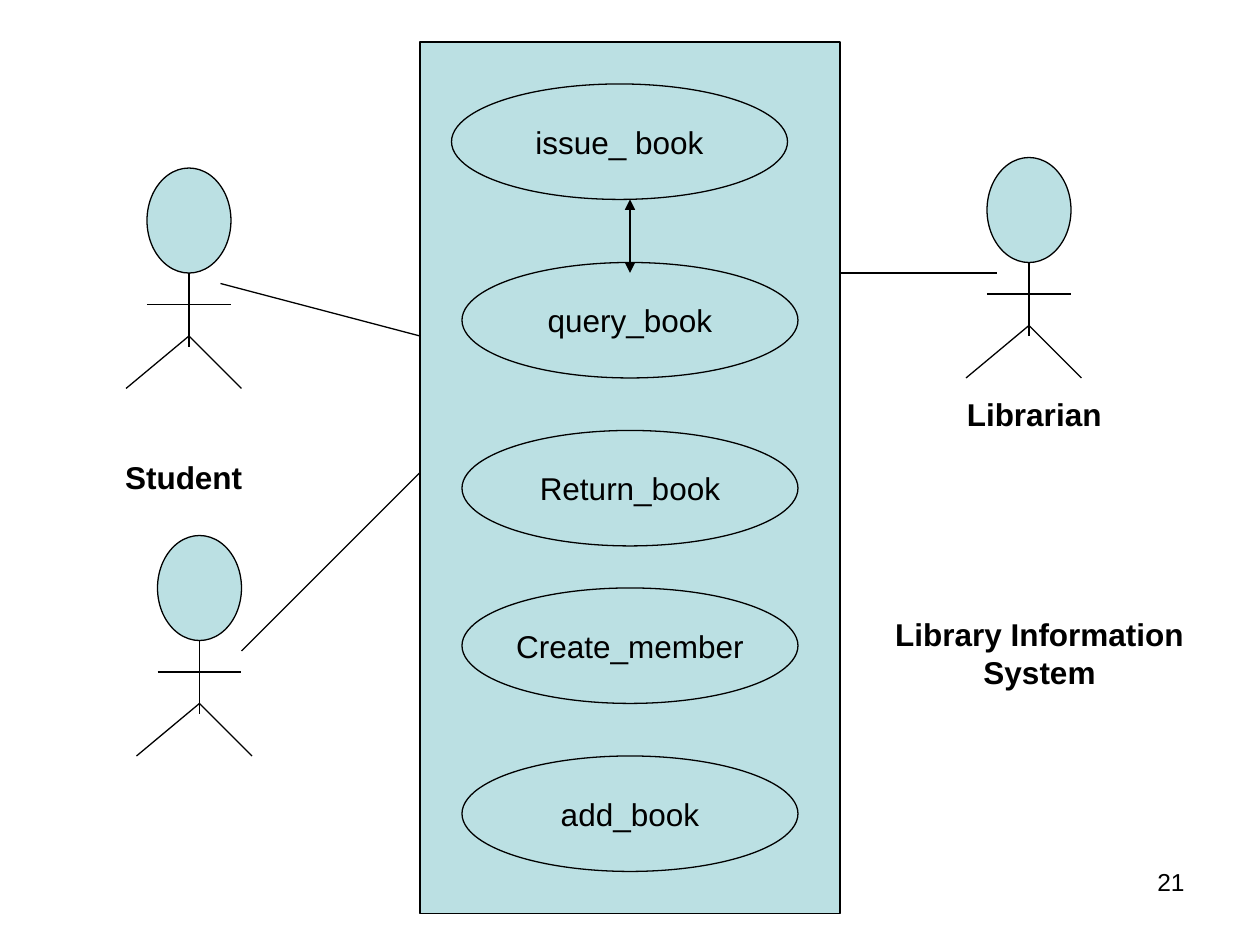
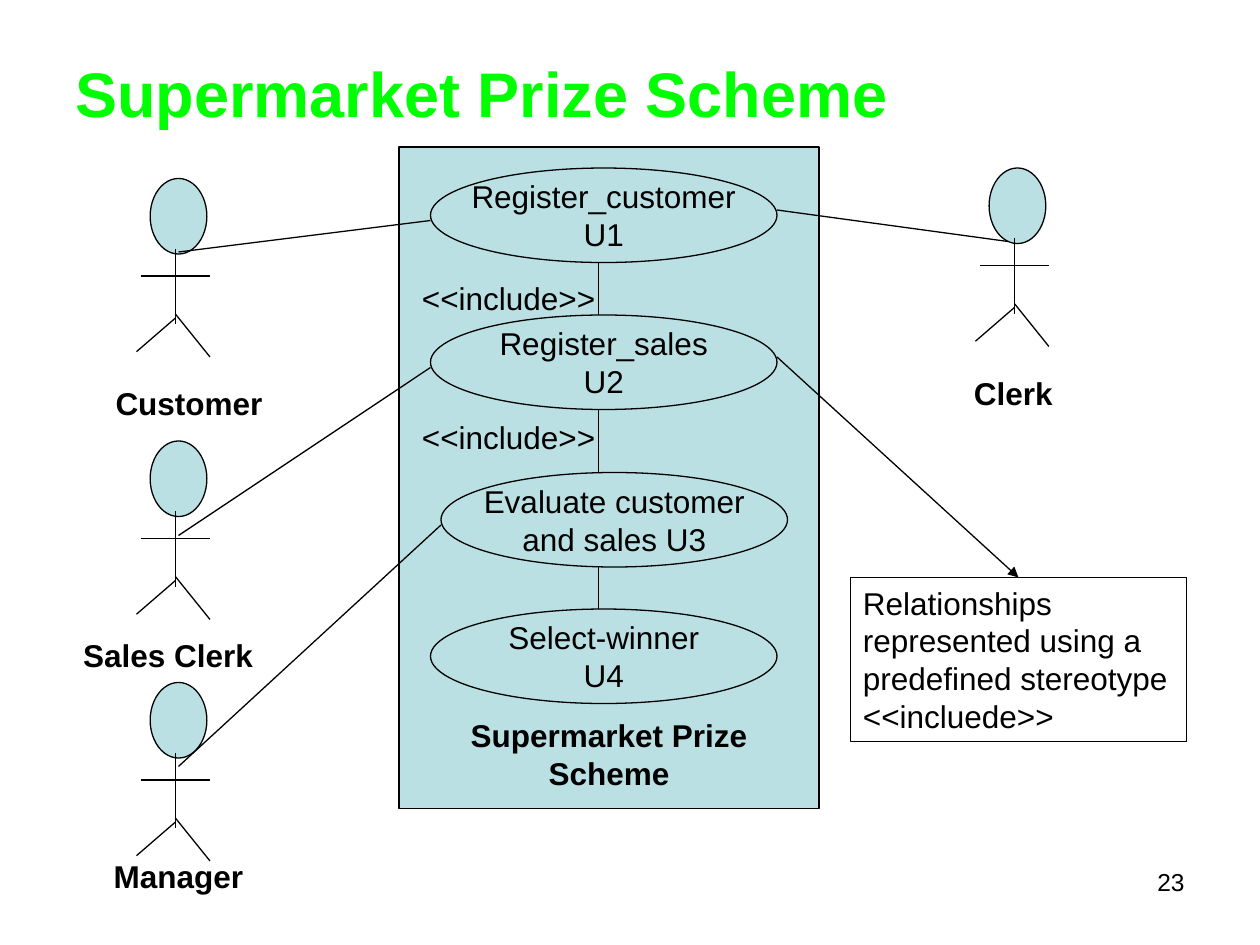
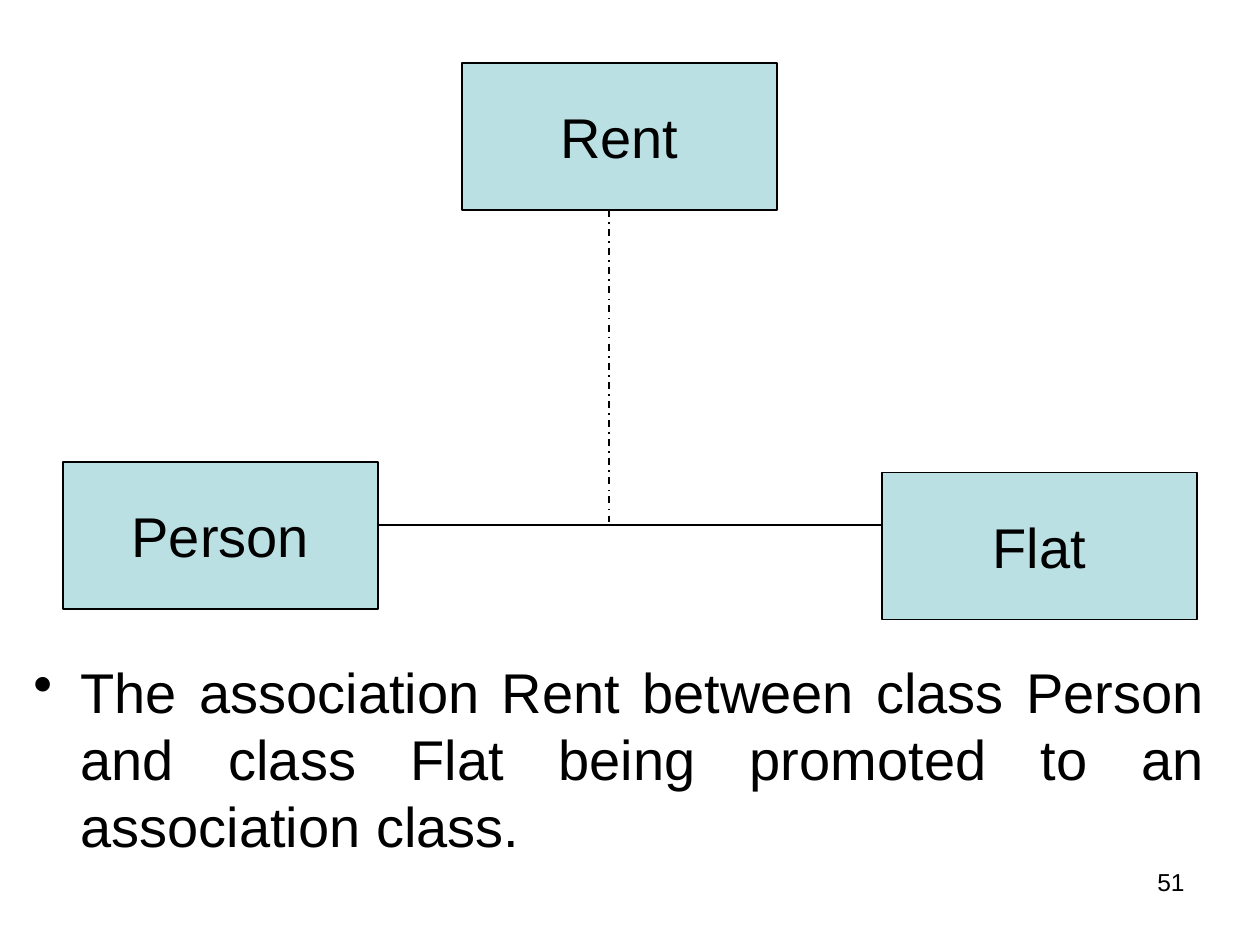
from dataclasses import dataclass

from lxml import etree
from pptx import Presentation
from pptx.dml.color import RGBColor
from pptx.enum.dml import MSO_LINE
from pptx.enum.shapes import MSO_CONNECTOR, MSO_SHAPE
from pptx.enum.text import MSO_ANCHOR, PP_ALIGN
from pptx.oxml.ns import qn
from pptx.util import Emu, Pt

EMU_PER_PX = 7620
FONT = "Arial"
BLACK = "000000"
PALE_TEAL = "BBE0E3"
TITLE_GREEN = "00FF00"

LEFT, CENTER, RIGHT, JUSTIFY = PP_ALIGN.LEFT, PP_ALIGN.CENTER, PP_ALIGN.RIGHT, PP_ALIGN.JUSTIFY
TOP, MIDDLE = MSO_ANCHOR.TOP, MSO_ANCHOR.MIDDLE
ELLIPSE, RECTANGLE = MSO_SHAPE.OVAL, MSO_SHAPE.RECTANGLE
STRAIGHT = MSO_CONNECTOR.STRAIGHT
DASH_DOT = MSO_LINE.DASH_DOT


@dataclass(frozen=True)
class Box:
    """A rectangle in px."""

    left: int
    top: int
    width: int
    height: int

    def emu(self):
        """Return the four lengths in EMU."""
        return [px(value) for value in (self.left, self.top, self.width, self.height)]


@dataclass(frozen=True)
class Line:
    """A straight line in px, with its look."""

    x1: int
    y1: int
    x2: int
    y2: int
    width: float = 0.75
    ends: tuple[str, ...] = ()
    dash: MSO_LINE | None = None


@dataclass(frozen=True)
class Figure:
    """A stick figure: head size and limbs relative to the head's corner."""

    head_width: int
    head_height: int
    limbs: tuple[tuple[int, int, int, int], ...]


@dataclass(frozen=True)
class Label:
    """A caption in a box."""

    text: str
    box: Box
    bold: bool = True
    align: PP_ALIGN = CENTER


LARGE_FIGURE = Figure(80, 100, (
    (40, 100, 40, 170), (40, 160, -20, 210), (40, 160, 90, 210), (0, 130, 80, 130)))
SMALL_FIGURE = Figure(54, 72, (
    (24, 67, 24, 139), (-9, 93, 57, 93), (24, 133, -13, 165), (24, 129, 57, 170)))


def px(value: int) -> Emu:
    """Turn px into EMU."""
    return Emu(value * EMU_PER_PX)


def color(value: str) -> RGBColor:
    """Turn a hex string into a colour."""
    return RGBColor.from_string(value)


def write_text(shape, text: str, *, size=18, bold=False, fill=BLACK, align=LEFT,
               anchor=TOP, wrap=True, bullet_indent=0):
    """Write text into a shape, one paragraph for each line."""
    frame = shape.text_frame
    frame.word_wrap = wrap
    frame.vertical_anchor = anchor
    frame.text = text
    for paragraph in frame.paragraphs:
        paragraph.alignment = align
        if bullet_indent:
            properties = paragraph._p.get_or_add_pPr()
            properties.set("marL", str(px(bullet_indent)))
            properties.set("indent", str(-px(bullet_indent)))
            etree.SubElement(properties, qn("a:buChar")).set("char", "•")
        font = paragraph.font
        font.name, font.size, font.bold = FONT, Pt(size), bold
        font.color.rgb = color(fill)


def add_text(slide, text: str, box: Box, **text_format):
    """Add a text box."""
    write_text(slide.shapes.add_textbox(*box.emu()), text, **text_format)


def add_shape(slide, kind, box: Box, text="", *, fill: str | None = PALE_TEAL, line_width=0.75,
              **text_format):
    """Add an outlined shape with optional text."""
    shape = slide.shapes.add_shape(kind, *box.emu())
    shape.shadow.inherit = False
    if fill:
        shape.fill.solid()
        shape.fill.fore_color.rgb = color(fill)
    else:
        shape.fill.background()
    shape.line.color.rgb = color(BLACK)
    shape.line.width = Pt(line_width)
    if text:
        write_text(shape, text, **text_format)


def add_lines(slide, lines: list[Line]):
    """Add straight connectors with optional dashes and arrowheads."""
    for line in lines:
        points = [px(value) for value in (line.x1, line.y1, line.x2, line.y2)]
        connector = slide.shapes.add_connector(STRAIGHT, *points)
        connector.line.color.rgb = color(BLACK)
        connector.line.width = Pt(line.width)
        if line.dash:
            connector.line.dash_style = line.dash
        outline = connector.line._get_or_add_ln()
        for end in line.ends:
            etree.SubElement(outline, qn(f"a:{end}")).set("type", "triangle")
        etree.SubElement(connector._element.spPr, qn("a:effectLst"))


def add_actors(slide, figure: Figure, corners: list[tuple[int, int]]):
    """Add a stick figure at each head corner."""
    for left, top in corners:
        add_shape(slide, ELLIPSE, Box(left, top, figure.head_width, figure.head_height))
        add_lines(slide, [Line(left + x1, top + y1, left + x2, top + y2)
                          for x1, y1, x2, y2 in figure.limbs])


def add_use_cases(slide, cases: list[tuple[str, int, int]], width: int, height: int):
    """Add an ellipse for each use case."""
    for text, left, top in cases:
        add_shape(slide, ELLIPSE, Box(left, top, width, height), text,
                  align=CENTER, anchor=MIDDLE, wrap=False)


def add_labels(slide, labels: list[Label]):
    """Add each caption."""
    for label in labels:
        add_text(slide, label.text, label.box, bold=label.bold, align=label.align)


def add_slide(presentation, number: int):
    """Add a blank slide with its number."""
    slide = presentation.slides.add_slide(presentation.slide_layouts[6])
    add_text(slide, str(number), Box(860, 820, 280, 62), size=14, align=RIGHT)
    return slide


def build_library(presentation):
    """Build the library use case diagram."""
    slide = add_slide(presentation, 21)
    add_shape(slide, RECTANGLE, Box(400, 40, 400, 830))
    add_use_cases(slide, [
        ("issue_ book", 430, 80),
        ("query_book", 440, 250),
        ("Return_book", 440, 410),
        ("Create_member", 440, 560),
        ("add_book", 440, 720),
    ], 320, 110)
    add_actors(slide, LARGE_FIGURE, [(140, 160), (940, 150), (150, 510)])
    add_lines(slide, [
        Line(210, 270, 400, 320),
        Line(800, 260, 950, 260),
        Line(230, 620, 400, 450),
        Line(600, 190, 600, 260, width=1, ends=("headEnd", "tailEnd")),
    ])
    add_labels(slide, [
        Label("Student", Box(60, 430, 230, 48)),
        Label("Librarian", Box(870, 370, 230, 48)),
        Label("Library Information System", Box(820, 580, 340, 84)),
    ])


def build_supermarket(presentation):
    """Build the prize scheme use case diagram."""
    slide = add_slide(presentation, 23)
    add_text(slide, "Supermarket Prize Scheme", Box(60, 36, 1080, 104),
             size=36, bold=True, fill=TITLE_GREEN, anchor=MIDDLE)
    add_shape(slide, RECTANGLE, Box(380, 140, 400, 630))
    add_use_cases(slide, [
        ("Register_customer\nU1", 410, 160),
        ("Register_sales\nU2", 410, 300),
        ("Evaluate customer\nand sales U3", 420, 450),
        ("Select-winner\nU4", 410, 580),
    ], 330, 90)
    add_actors(slide, SMALL_FIGURE, [(143, 170), (143, 420), (143, 650), (942, 160)])
    add_shape(slide, RECTANGLE, Box(810, 550, 320, 156),
              "Relationships represented using a predefined stereotype <<incluede>>", fill=None)
    add_lines(slide, [
        Line(170, 240, 410, 210),
        Line(740, 200, 960, 230),
        Line(170, 510, 410, 350),
        Line(170, 730, 420, 500),
        Line(740, 340, 970, 550, ends=("tailEnd",)),
    ])
    add_lines(slide, [Line(570, top, 570, bottom)
                      for top, bottom in ((250, 300), (390, 450), (540, 580))])
    add_labels(slide, [
        Label("Supermarket Prize Scheme", Box(410, 676, 340, 84)),
        Label("<<include>>", Box(390, 260, 220, 48), bold=False, align=LEFT),
        Label("<<include>>", Box(390, 392, 220, 48), bold=False, align=LEFT),
        Label("Customer", Box(70, 360, 220, 48)),
        Label("Sales Clerk", Box(60, 600, 200, 48)),
        Label("Manager", Box(10, 810, 320, 48)),
        Label("Clerk", Box(890, 350, 150, 48)),
    ])


def build_association(presentation):
    """Build the association class diagram."""
    slide = add_slide(presentation, 51)
    add_text(slide, "The association Rent between class Person and class Flat "
             "being promoted to an association class.", Box(20, 620, 1140, 220),
             size=32, align=JUSTIFY, bullet_indent=45)
    for name, left, top in (("Rent", 440, 60), ("Person", 60, 440), ("Flat", 840, 450)):
        add_shape(slide, RECTANGLE, Box(left, top, 300, 140), name, line_width=1,
                  size=32, align=CENTER, anchor=MIDDLE, wrap=False)
    add_lines(slide, [
        Line(360, 500, 840, 500, width=1),
        Line(580, 200, 580, 500, width=1, dash=DASH_DOT),
    ])


def main():
    """Build and save the presentation."""
    presentation = Presentation()
    presentation.slide_width, presentation.slide_height = px(1200), px(900)
    build_library(presentation)
    build_supermarket(presentation)
    build_association(presentation)
    presentation.save("out.pptx")


if __name__ == "__main__":
    main()
